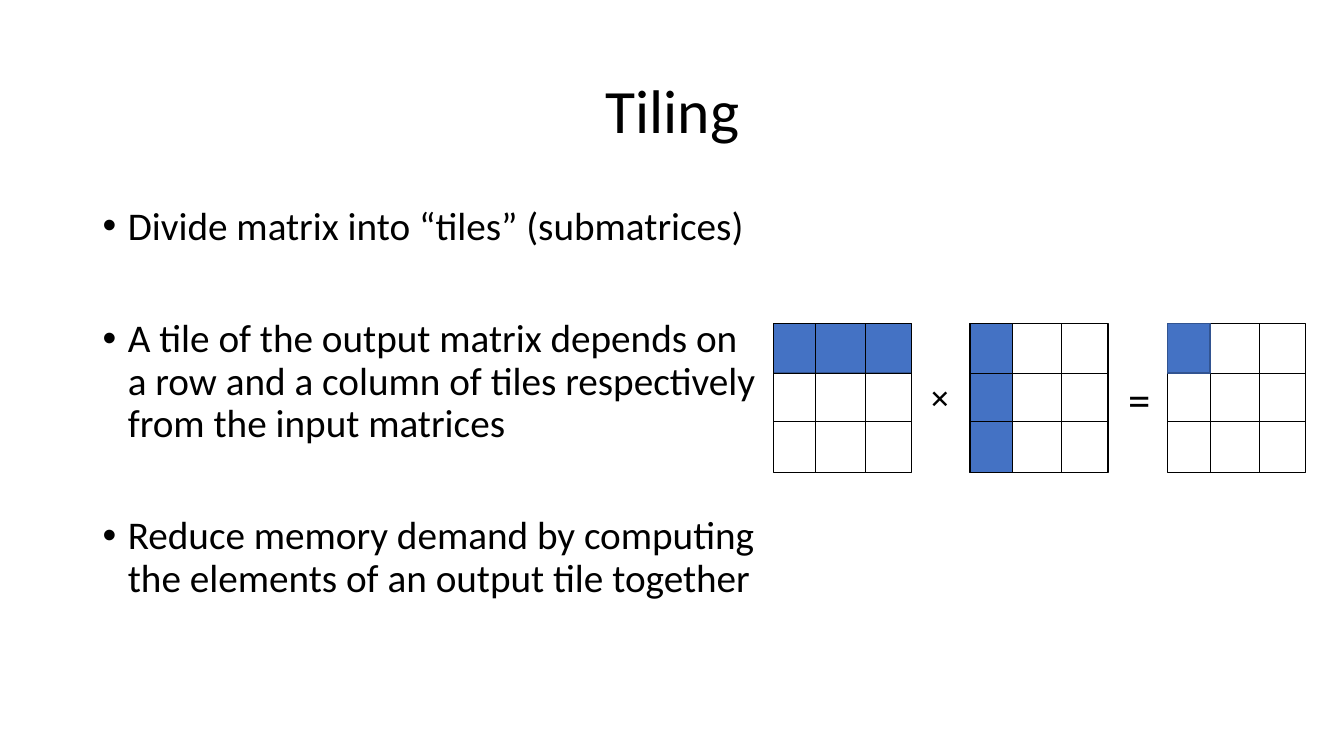
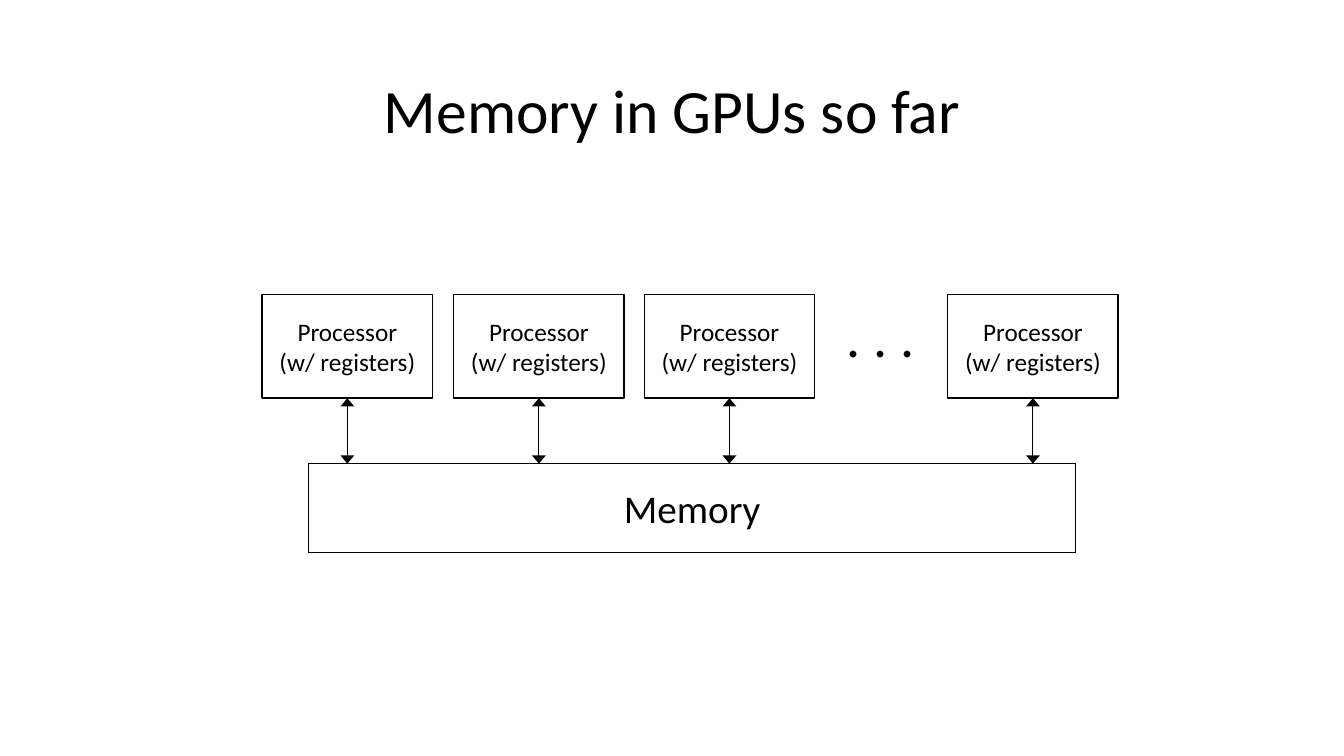
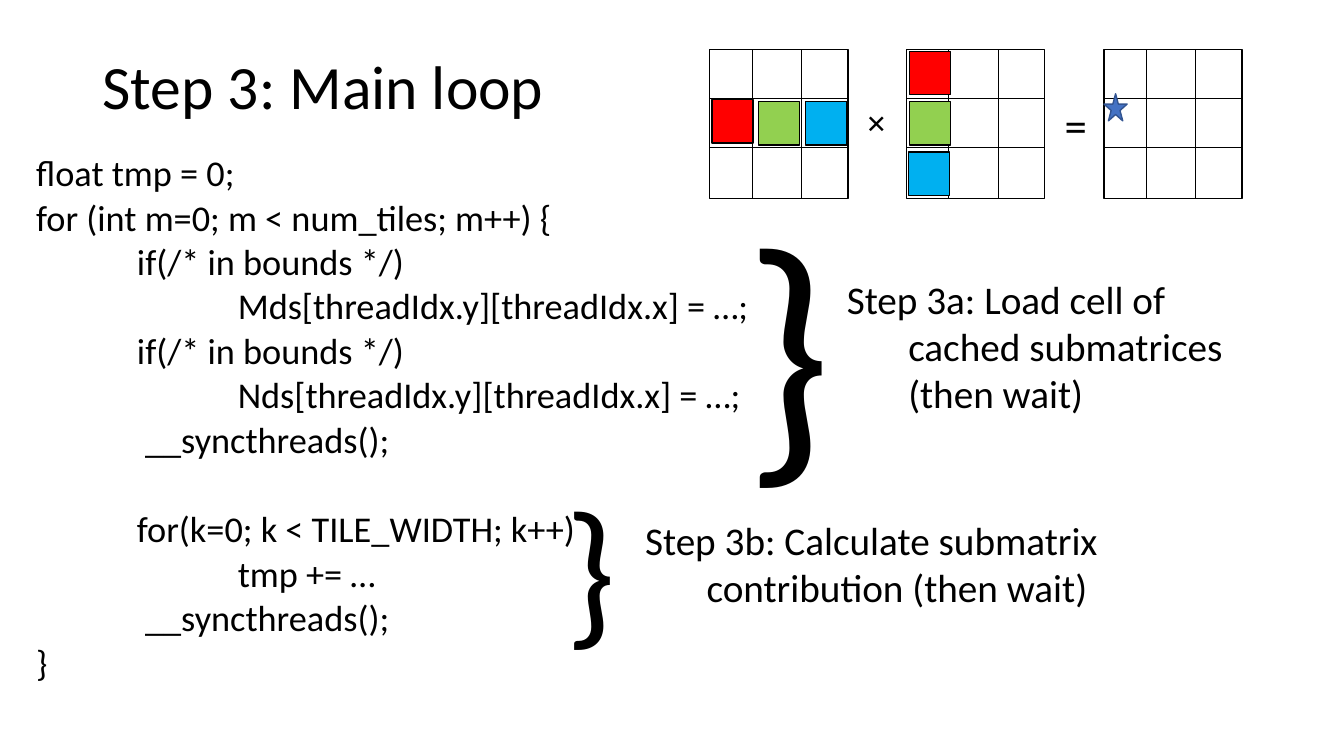
from lxml import etree
from pptx import Presentation
from pptx.dml.color import RGBColor
from pptx.enum.shapes import MSO_CONNECTOR, MSO_SHAPE
from pptx.enum.text import MSO_ANCHOR, MSO_AUTO_SIZE, PP_ALIGN
from pptx.oxml.ns import qn
from pptx.util import Inches, Pt

RECTANGLE = MSO_SHAPE.RECTANGLE
STAR = MSO_SHAPE.STAR_5_POINT
STRAIGHT = MSO_CONNECTOR.STRAIGHT
LEFT = PP_ALIGN.LEFT
CENTER = PP_ALIGN.CENTER
TOP = MSO_ANCHOR.TOP
MIDDLE = MSO_ANCHOR.MIDDLE
FIT_SHAPE = MSO_AUTO_SIZE.SHAPE_TO_FIT_TEXT
NO_FIT = MSO_AUTO_SIZE.NONE
BOTTOM_SITE = 2

FONT = "Calibri"
COLORS = {
    "black": "000000",
    "blue": "4472C4",
    "navy": "325491",
    "red": "FF0000",
    "green": "92D050",
    "sky": "00B0F0",
}

TITLE_BOX = (0.92, 0.4, 11.5, 1.45)

TILING_TITLE = "Tiling"
TILING_BULLETS = [
    "Divide matrix into “tiles” (submatrices)",
    "A tile of the output matrix depends on a row and a column of tiles "
    "respectively from the input matrices",
    "Reduce memory demand by computing the elements of an output tile together",
]

MEMORY_TITLE = "Memory in GPUs so far"
PROCESSOR_LINES = ["Processor", "(w/ registers)"]
PROCESSOR_LEFTS = [2.6, 4.5, 6.39, 9.4]
PROCESSOR_TOP, PROCESSOR_WIDTH, PROCESSOR_HEIGHT = 2.92, 1.69, 1.03
MEMORY_BOX = (3.06, 4.6, 7.61, 0.88)

LOOP_TITLE = "Step 3: Main loop"
LOOP_CODE = [
    "float tmp = 0;",
    "for (int m=0; m < num_tiles; m++) {",
    "\tif(/* in bounds */)",
    "\t\tMds[threadIdx.y][threadIdx.x] = …;",
    "\tif(/* in bounds */)",
    "\t\tNds[threadIdx.y][threadIdx.x] = …;",
    "\t __syncthreads();",
    "\tfor(k=0; k < TILE_WIDTH; k++)",
    "\t\ttmp += …",
    "\t __syncthreads();",
    "}",
]
SECOND_BLOCK = 7
LOOP_TILES = [
    ("red", (7.06, 0.99), (9.02, 0.51)),
    ("green", (7.52, 1.01), (9.02, 1.01)),
    ("sky", (7.99, 1.01), (9.01, 1.51)),
]
LOOP_STEPS = [
    ((7.29, 1.66, 0.85, 3.45), 199, (8.3, 2.68, 3.98, 1.51),
     ["Step 3a: Load cell of", "cached submatrices", "(then wait)"]),
    ((5.51, 4.59, 0.85, 2.04), 115, (6.3, 5.07, 4.74, 1.04),
     ["Step 3b: Calculate submatrix", "contribution (then wait)"]),
]

MATRIX_WIDTH, MATRIX_HEIGHT = 1.37, 1.48
MATRIX_OFFSETS = [0, 1.95, 3.91]
COLUMN_LINES = [0.42, 0.91]
ROW_LINES = [0.49, 0.97]
OPERATORS = [
    ("✕", 18, (1.45, 0.54, 0.41, 0.4)),
    ("=", 32, (3.42, 0.43, 0.43, 0.64)),
]


def color(name):
    return RGBColor.from_string(COLORS[name])


def write(frame, lines, size, align=LEFT, spacing=None, before=0):
    for index, line in enumerate(lines):
        paragraph = frame.add_paragraph() if index else frame.paragraphs[0]
        paragraph.alignment = align
        if spacing:
            paragraph.line_spacing = spacing
        paragraph.space_before = Pt(before if index else 0)
        run = paragraph.add_run()
        run.text = line
        run.font.name = FONT
        run.font.size = Pt(size)
        run.font.color.rgb = color("black")
    return frame.paragraphs


def add_text(slide, box, lines, size, anchor=TOP, wrap=True, fit=False, **style):
    frame = slide.shapes.add_textbox(*map(Inches, box)).text_frame
    frame.word_wrap = wrap
    frame.vertical_anchor = anchor
    frame.auto_size = FIT_SHAPE if fit else NO_FIT
    return write(frame, lines, size, **style)


def add_title(slide, text, box=TITLE_BOX, align=CENTER):
    add_text(slide, box, [text], 44, anchor=MIDDLE, align=align, spacing=0.9)


def add_box(slide, box, fill=None, line="black", weight=1, kind=RECTANGLE):
    shape = slide.shapes.add_shape(kind, *map(Inches, box))
    shape.shadow.inherit = False
    if fill:
        shape.fill.solid()
        shape.fill.fore_color.rgb = color(fill)
    else:
        shape.fill.background()
    shape.line.color.rgb = color(line)
    shape.line.width = Pt(weight)
    return shape


def add_line(slide, start, end, weight):
    line = slide.shapes.add_connector(STRAIGHT, *map(Inches, start + end))
    line.line.color.rgb = color("black")
    line.line.width = Pt(weight)
    etree.SubElement(line._element.spPr, qn("a:effectLst"))
    return line


def add_arrowheads(line):
    outline = line.line._get_or_add_ln()
    for tag in ("a:headEnd", "a:tailEnd"):
        etree.SubElement(outline, qn(tag), type="triangle", w="lg", len="med")


def set_indent(paragraph, margin, first=0):
    properties = paragraph._p.get_or_add_pPr()
    properties.set("marL", str(Inches(margin)))
    properties.set("indent", str(Inches(first)))
    return properties


def add_bullet(paragraph):
    properties = set_indent(paragraph, 0.25, -0.25)
    etree.SubElement(properties, qn("a:buFont"), typeface="Arial")
    etree.SubElement(properties, qn("a:buChar"), char="•")


def add_tab_stops(paragraph, stops):
    tabs = etree.SubElement(paragraph._p.get_or_add_pPr(), qn("a:tabLst"))
    for stop in stops:
        etree.SubElement(tabs, qn("a:tab"), pos=str(Inches(stop)), algn="l")


def add_matrix_product(slide, left, top):
    for text, size, (x, y, width, height) in OPERATORS:
        add_text(slide, (left + x, top + y, width, height), [text], size,
                 wrap=False, fit=True)
    for offset in MATRIX_OFFSETS:
        x = left + offset
        right, bottom = x + MATRIX_WIDTH, top + MATRIX_HEIGHT
        add_box(slide, (x, top, MATRIX_WIDTH, MATRIX_HEIGHT))
        for row in ROW_LINES:
            add_line(slide, (x, top + row), (right, top + row), 0.5)
        for column in COLUMN_LINES:
            add_line(slide, (x + column, top), (x + column, bottom), 0.5)


def build_tiling(slide):
    left, top = 7.67, 3.21
    tile_width, tile_height = COLUMN_LINES[0], ROW_LINES[0]
    _, second, output = (left + offset for offset in MATRIX_OFFSETS)
    add_box(slide, (second, top, tile_width, MATRIX_HEIGHT), "blue", "navy")
    add_box(slide, (left, top, MATRIX_WIDTH, tile_height), "blue", "navy")
    add_title(slide, TILING_TITLE)
    for paragraph in add_text(slide, (0.92, 2, 6.76, 4.76), TILING_BULLETS, 28,
                              spacing=0.9, before=50):
        add_bullet(paragraph)
    add_matrix_product(slide, left, top)
    add_box(slide, (output, top, tile_width, tile_height), "blue", "navy")


def build_memory(slide):
    add_title(slide, MEMORY_TITLE)
    memory = add_box(slide, MEMORY_BOX, weight=0.75)
    memory.text_frame.vertical_anchor = MIDDLE
    write(memory.text_frame, ["Memory"], 28, align=CENTER)
    add_text(slide, (8.3, 2.94, 0.88, 0.77), [". . ."], 40, wrap=False, fit=True)
    for left in PROCESSOR_LEFTS:
        processor = add_box(
            slide, (left, PROCESSOR_TOP, PROCESSOR_WIDTH, PROCESSOR_HEIGHT))
        processor.text_frame.vertical_anchor = MIDDLE
        write(processor.text_frame, PROCESSOR_LINES, 18, align=CENTER)
        middle = left + PROCESSOR_WIDTH / 2
        arrow = add_line(slide, (middle, PROCESSOR_TOP + PROCESSOR_HEIGHT),
                         (middle, MEMORY_BOX[1]), 0.75)
        arrow.begin_connect(processor, BOTTOM_SITE)
        add_arrowheads(arrow)


def build_loop(slide):
    add_title(slide, LOOP_TITLE, (0.92, 0.16, 5.44, 1.45), LEFT)
    code = add_text(slide, (0.26, 1.56, 7.78, 5.56), LOOP_CODE, 25.9,
                    spacing=0.7, before=10)
    code[SECOND_BLOCK].space_before = Pt(42)
    for paragraph in code:
        add_tab_stops(paragraph, [1, 2])
    add_matrix_product(slide, 7.04, 0.49)
    add_box(slide, (10.95, 0.93, 0.23, 0.27), "blue", "navy", kind=STAR)
    for fill, *corners in LOOP_TILES:
        for corner in corners:
            add_box(slide, corner + (0.41, 0.43), fill)
    for brace_box, brace_size, label_box, lines in LOOP_STEPS:
        add_text(slide, brace_box, ["}"], brace_size, fit=True)
        label = add_text(slide, label_box, lines, 28, wrap=False, fit=True)
        for paragraph in label[1:]:
            set_indent(paragraph, 0.61)


def main():
    presentation = Presentation()
    presentation.slide_width = Inches(13.33)
    presentation.slide_height = Inches(7.5)
    blank = presentation.slide_layouts[6]
    for build in (build_tiling, build_memory, build_loop):
        build(presentation.slides.add_slide(blank))
    presentation.save("out.pptx")


if __name__ == "__main__":
    main()
